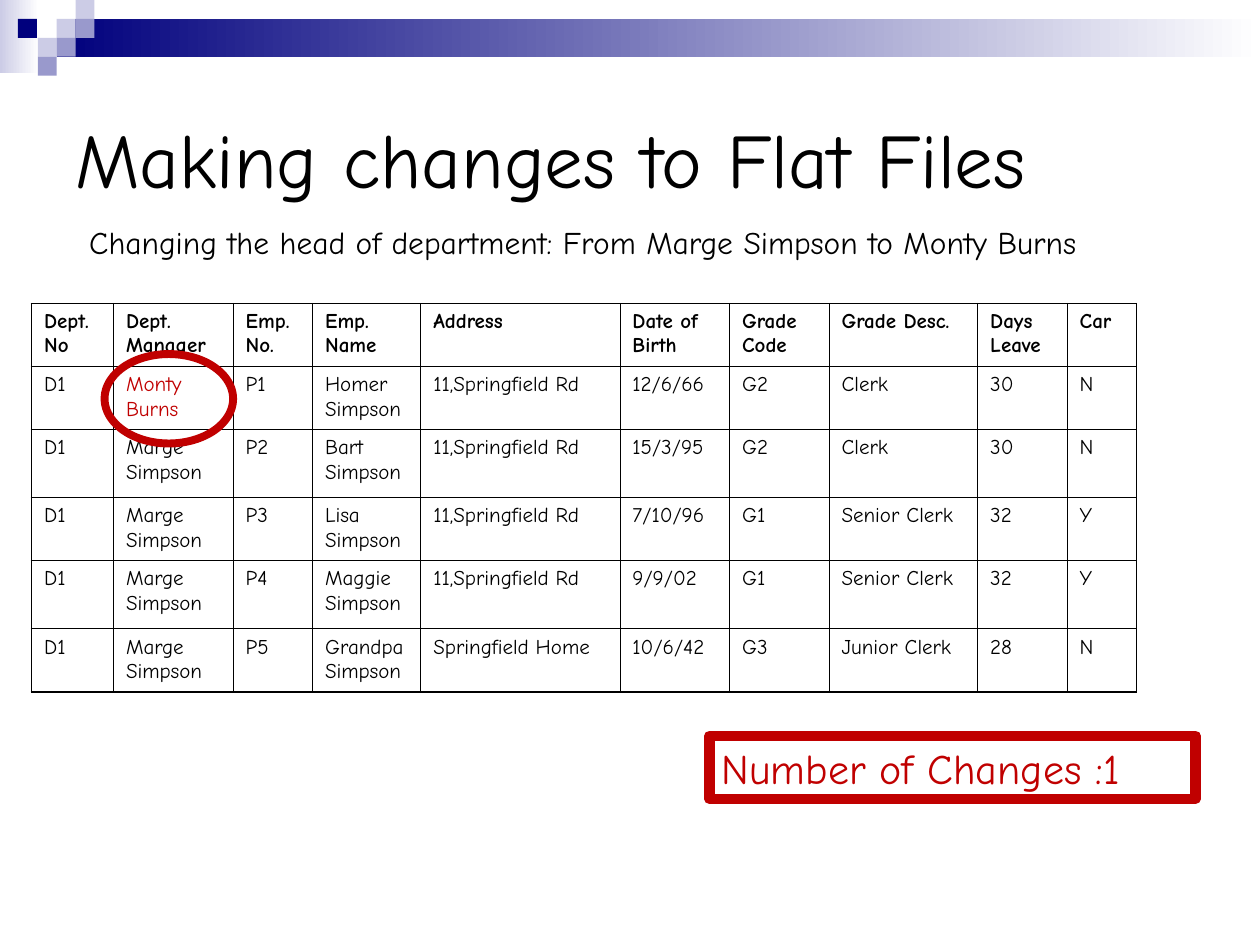
"""Build the slide on changing the head of department in a flat file."""
from lxml import etree
from pptx import Presentation
from pptx.dml.color import RGBColor
from pptx.enum.shapes import MSO_SHAPE
from pptx.enum.text import MSO_ANCHOR, MSO_AUTO_SIZE
from pptx.oxml.ns import qn
from pptx.util import Inches, Pt

RECT, OVAL = MSO_SHAPE.RECTANGLE, MSO_SHAPE.OVAL
MIDDLE, TOP = MSO_ANCHOR.MIDDLE, MSO_ANCHOR.TOP
GROW, FIXED = MSO_AUTO_SIZE.SHAPE_TO_FIT_TEXT, MSO_AUTO_SIZE.NONE

THEME = {
    "font": "Comic Neue",
    "black": "000000", "white": "FFFFFF", "red": "C00000",
    "navy": "00007D", "mid": "9999CC", "pale": "CCCCE6",
    "title": 44, "count": 24, "sub": 18, "cell": 12,
}


def write(frame, text, size, color="black", bold=False):
    line = frame.paragraphs[0]
    line.text = text
    font = line.runs[0].font
    style = {"name": THEME["font"], "size": Pt(THEME[size]), "bold": bold}
    for key, value in style.items():
        setattr(font, key, value)
    font.color.rgb = RGBColor.from_string(THEME[color])


def draw(kind, place, fill=None, edge=None, width=0):
    shape = slide.shapes.add_shape(kind, *map(Inches, place))
    shape.shadow.inherit = False
    if fill is None:
        shape.fill.background()
    elif isinstance(fill, tuple):
        shape.fill.gradient()
        shape.fill.gradient_angle = 0
        for stop, name, spot in zip(shape.fill.gradient_stops, fill, (0, 1)):
            stop.color.rgb = RGBColor.from_string(THEME[name])
            stop.position = spot
    else:
        shape.fill.solid()
        shape.fill.fore_color.rgb = RGBColor.from_string(THEME[fill])
    if edge:
        shape.line.color.rgb = RGBColor.from_string(THEME[edge])
        shape.line.width = Pt(width)
    else:
        shape.line.fill.background()
    return shape


deck = Presentation()
deck.slide_width, deck.slide_height = Inches(10), Inches(7.5)
slide = deck.slides.add_slide(deck.slide_layouts[6])

draw(RECT, (0, 0, 0.31, 0.58), ("pale", "white"))
draw(RECT, (0.45, 0.15, 9.55, 0.3), ("navy", "white"))
SIDE = 0.15
TILES = [
    (3, 1, "pale"), (4, 0, "pale"), (4, 1, "mid"), (2, 2, "pale"),
    (0.95, 1, "navy"), (3, 2, "mid"), (2, 3, "mid"),
]
for col, row, color in TILES:
    draw(RECT, (col * SIDE, row * SIDE, SIDE, SIDE), color)

LABELS = [
    ((0.5, 0.5, 9, 1.5), "Making changes to Flat Files", "title",
     {"word_wrap": True, "auto_size": FIXED, "vertical_anchor": MIDDLE}),
    ((0.61, 1.72, 8.06, 0.4),
     "Changing the head of department: From Marge Simpson to Monty Burns",
     "sub",
     {"word_wrap": False, "auto_size": GROW, "vertical_anchor": TOP}),
]
for place, text, size, style in LABELS:
    frame = slide.shapes.add_textbox(*map(Inches, place)).text_frame
    for key, value in style.items():
        setattr(frame, key, value)
    write(frame, text, size)

count = draw(RECT, (5.63, 5.84, 3.86, 0.5), edge="red", width=6)
style = {"word_wrap": True, "auto_size": GROW, "vertical_anchor": TOP}
for key, value in style.items():
    setattr(count.text_frame, key, value)
write(count.text_frame, "Number of Changes :1", "count", "red")
count.text_frame.paragraphs[0].alignment = 1

HOME, MARGE, BOSS = "11,Springfield Rd", "Marge Simpson", "Monty Burns"
ROWS = [
    ("Dept.No", "Dept. Manager", "Emp. No.", "Emp. Name", "Address",
     "Date of Birth", "Grade Code", "Grade Desc.", "Days Leave", "Car"),
    ("D1", BOSS, "P1", "Homer Simpson", HOME,
     "12/6/66", "G2", "Clerk", "30", "N"),
    ("D1", MARGE, "P2", "Bart Simpson", HOME,
     "15/3/95", "G2", "Clerk", "30", "N"),
    ("D1", MARGE, "P3", "Lisa Simpson", HOME,
     "7/10/96", "G1", "Senior Clerk", "32", "Y"),
    ("D1", MARGE, "P4", "Maggie Simpson", HOME,
     "9/9/02", "G1", "Senior Clerk", "32", "Y"),
    ("D1", MARGE, "P5", "Grandpa Simpson", "Springfield Home",
     "10/6/42", "G3", "Junior Clerk", "28", "N"),
]
WIDTHS = [0.65, 0.95, 0.63, 0.86, 1.58, 0.87, 0.79, 1.18, 0.71, 0.55]
HEIGHTS = [0.5, 0.5, 0.54, 0.5, 0.54, 0.5]
THIN, THICK = Pt(0.45), Pt(1.08)
area = map(Inches, (0.25, 2.41, sum(WIDTHS), sum(HEIGHTS)))
table = slide.shapes.add_table(len(ROWS), len(WIDTHS), *area).table
table.first_row = table.horz_banding = False
for col, width in zip(table.columns, WIDTHS):
    col.width = Inches(width)
for row, height in zip(table.rows, HEIGHTS):
    row.height = Inches(height)

for r, row in enumerate(ROWS):
    for c, text in enumerate(row):
        cell = table.cell(r, c)
        color = "red" if text == BOSS else "black"
        write(cell.text_frame, text, "cell", color, r == 0)
        props = cell._tc.get_or_add_tcPr()
        outer = {"L": c == 0, "R": c == len(WIDTHS) - 1,
                 "T": r == 0, "B": r == len(ROWS) - 1}
        for side, edge in outer.items():
            line = etree.SubElement(props, qn(f"a:ln{side}"))
            line.set("w", str(THICK if edge else THIN))
            fill = etree.SubElement(line, qn("a:solidFill"))
            etree.SubElement(fill, qn("a:srgbClr")).set("val", THEME["black"])
        cell.fill.background()

draw(OVAL, (0.83, 2.81, 1.02, 0.71), edge="red", width=4.5)

deck.save("out.pptx")
